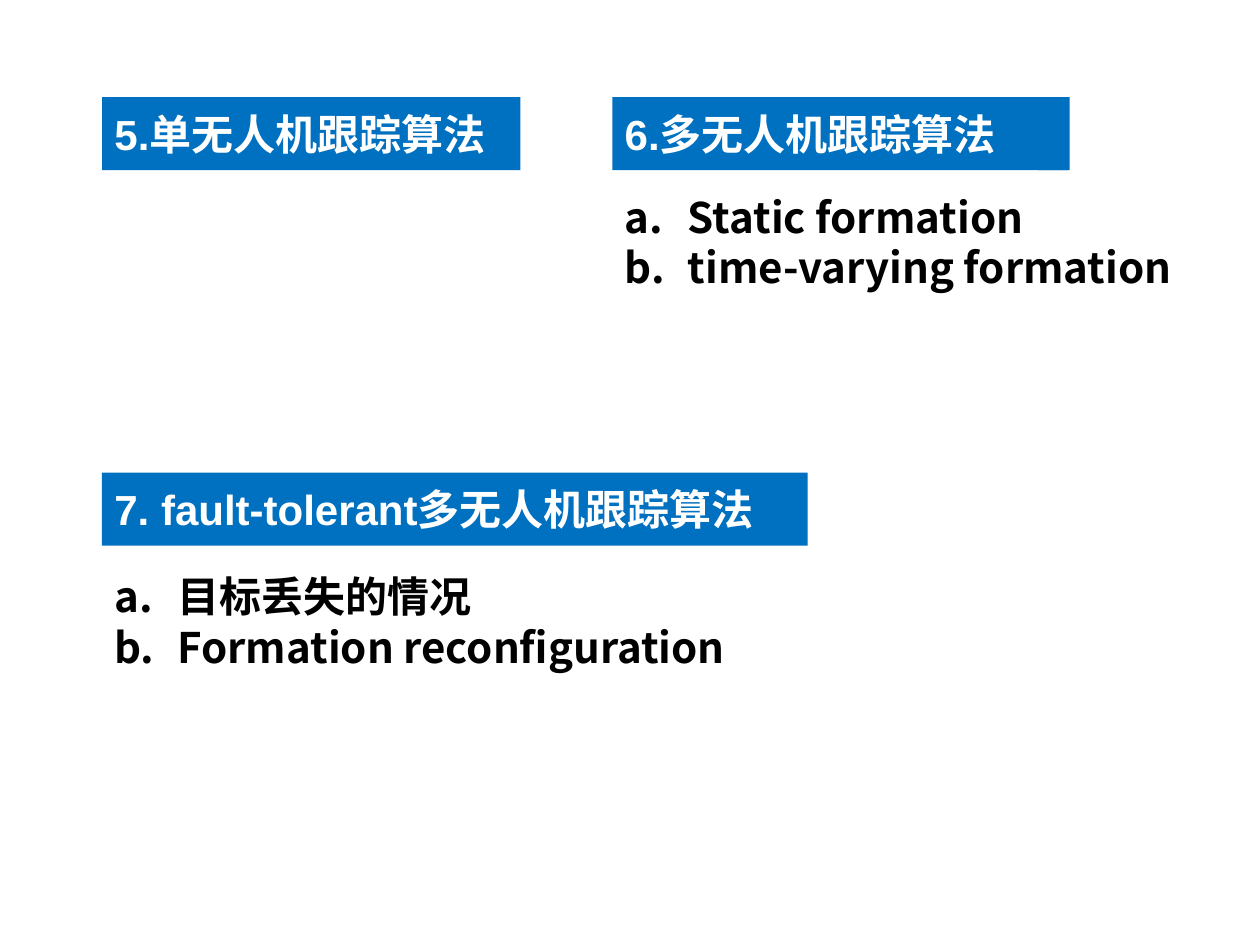
from lxml import etree
from pptx import Presentation
from pptx import util as u
from pptx.dml.color import RGBColor
from pptx.enum import shapes, text
from pptx.oxml.ns import qn

PX = 9144  # 100 px to the inch
BLUE = RGBColor(0x00, 0x70, 0xC0)
WHITE = RGBColor(0xFF, 0xFF, 0xFF)
BLACK = RGBColor(0x00, 0x00, 0x00)
CJK_FONT = "Noto Sans CJK SC"
BAR_HEIGHT = 58

BARS = [  # left, top, width, heading
    (486, 77, 363, "6.多无人机跟踪算法"),
    (824, 77, 24, ""),
    (81, 375, 560, "7. fault-tolerant多无人机跟踪算法"),
    (81, 77, 332, "5.单无人机跟踪算法"),
]
LISTS = [  # left, top, width, height, items
    (486, 147, 533, 90, ["Static formation", "time-varying formation"]),
    (81, 448, 628, 130, ["目标丢失的情况", "Formation reconfiguration"]),
]


def format_runs(para, font_name, color):
    for span in para.runs:
        span.font.size = u.Pt(24)
        span.font.bold = True
        span.font.color.rgb = color
        span.font.name = font_name
        east_asian = etree.SubElement(span.font._element, qn("a:ea"))
        east_asian.set("typeface", CJK_FONT)


deck = Presentation()
deck.slide_width = 1000 * PX
deck.slide_height = 750 * PX
page = deck.slides.add_slide(deck.slide_layouts[6])

for left, top, width, heading in BARS:
    bar = page.shapes.add_shape(
        shapes.MSO_SHAPE.RECTANGLE, left * PX, top * PX, width * PX, BAR_HEIGHT * PX)
    bar.shadow.inherit = False
    bar.fill.solid()
    bar.fill.fore_color.rgb = BLUE
    bar.line.fill.background()
    if heading:
        frame = bar.text_frame
        frame.text = heading
        frame.vertical_anchor = text.MSO_ANCHOR.MIDDLE
        para = frame.paragraphs[0]
        para.alignment = text.PP_ALIGN.LEFT
        format_runs(para, "Arial", WHITE)

for left, top, width, height, items in LISTS:
    box = page.shapes.add_textbox(left * PX, top * PX, width * PX, height * PX)
    frame = box.text_frame
    frame.word_wrap = True
    frame.text = "\n".join(items)
    for para in frame.paragraphs:
        props = para._p.get_or_add_pPr()
        props.set("marL", str(50 * PX))
        props.set("indent", str(-50 * PX))
        numbering = etree.SubElement(props, qn("a:buAutoNum"))
        numbering.set("type", "alphaLcPeriod")
        format_runs(para, CJK_FONT, BLACK)

deck.save("out.pptx")
